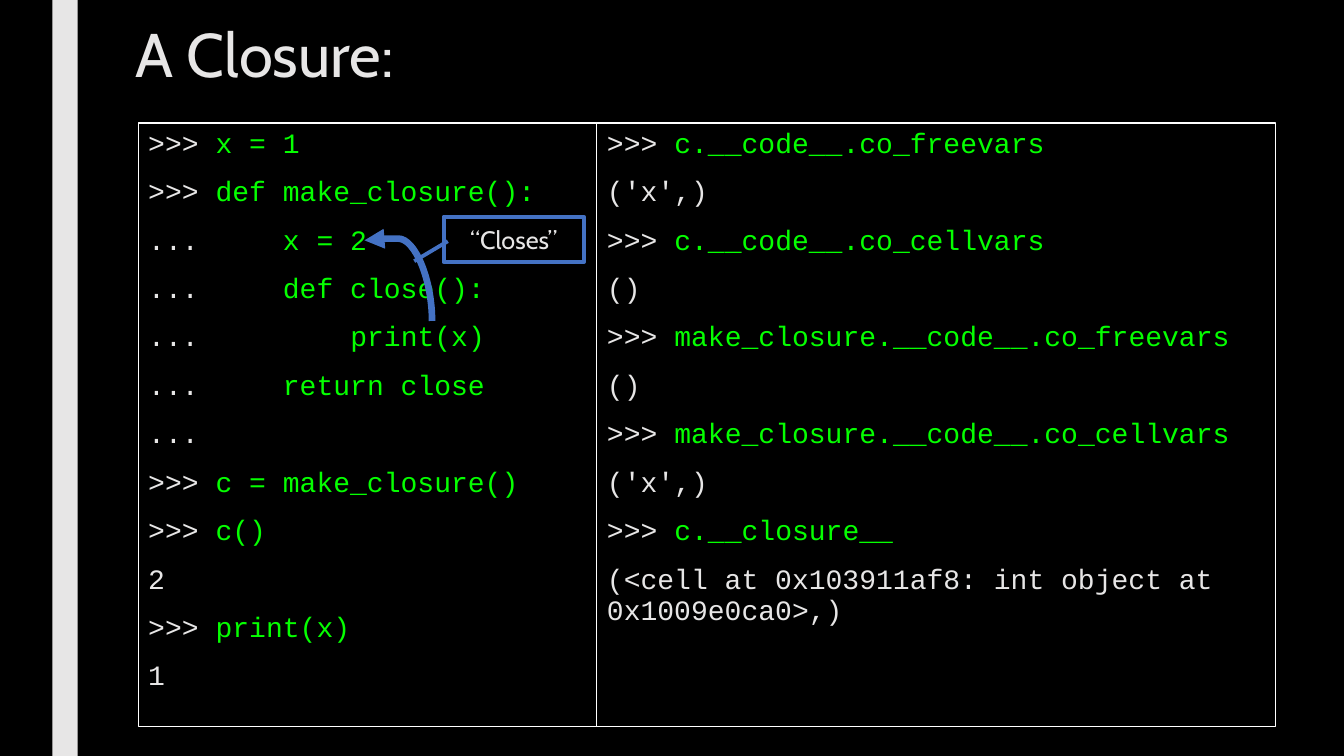
"""Build the slide that explains a Python closure."""
from dataclasses import dataclass

from lxml.etree import SubElement as Sub
from pptx import Presentation
from pptx.dml.color import RGBColor as Rgb
from pptx.enum.shapes import MSO_CONNECTOR as Link, MSO_SHAPE as Kind
from pptx.enum.text import MSO_ANCHOR as Anchor, MSO_AUTO_SIZE as Auto, PP_ALIGN as Align
from pptx.oxml.ns import qn
from pptx.util import Pt

SCALE = 9144


@dataclass(frozen=True)
class Theme:
    """Colours, fonts and type sizes."""
    back: Rgb = Rgb(0x00, 0x00, 0x00)
    pale: Rgb = Rgb(0xE7, 0xE6, 0xE6)
    code: Rgb = Rgb(0x05, 0xFF, 0x00)
    edge: Rgb = Rgb(0xFF, 0xFF, 0xFF)
    mark: Rgb = Rgb(0x44, 0x72, 0xC4)
    sans: str = "Cabin"
    mono: str = "Courier New"
    head: int = 44
    body: int = 20
    note: int = 18


@dataclass(frozen=True)
class Box:
    """A place on the slide in px."""
    left: int
    top: int
    width: int
    height: int


@dataclass(frozen=True)
class Line:
    """One console line: plain text, then typed code."""
    plain: str
    code: str = ""


@dataclass(frozen=True)
class Panel:
    """A framed console listing."""
    slot: int
    box: Box
    lines: tuple[Line, ...]


THEME = Theme()
PANELS = (
    Panel(1, Box(137, 122, 455, 599), (
        Line(">>> ", "x = 1"),
        Line(">>> ", "def make_closure():"),
        Line("...    ", " x = 2"),
        Line("...    ", " def close():"),
        Line("...         ", "print(x)"),
        Line("...    ", " return close"),
        Line("..."),
        Line(">>> ", "c = make_closure()"),
        Line(">>> ", "c()"),
        Line("2"),
        Line(">>> ", "print(x)"),
        Line("1"),
    )),
    Panel(2, Box(592, 122, 673, 599), (
        Line(">>> ", "c.__code__.co_freevars"),
        Line("('x',)"),
        Line(">>> ", "c.__code__.co_cellvars"),
        Line("()"),
        Line(">>> ", "make_closure.__code__.co_freevars"),
        Line("()"),
        Line(">>> ", "make_closure.__code__.co_cellvars"),
        Line("('x',)"),
        Line(">>> ", "c.__closure__"),
        Line("(<cell at 0x103911af8: int object at 0x1009e0ca0>,)"),
    )),
)


def px(size: int) -> int:
    """Turn px into EMU."""
    return size * SCALE


def place(shape, box: Box) -> None:
    """Move and size a shape."""
    shape.left, shape.top = px(box.left), px(box.top)
    shape.width, shape.height = px(box.width), px(box.height)


def style(font, name: str, size: int) -> None:
    """Set a pale font of the given name and size."""
    font.name, font.size = name, Pt(size)
    font.color.rgb = THEME.pale


def outline(line, color: Rgb, width: float) -> None:
    """Set the colour and width of a line."""
    line.color.rgb = color
    line.width = Pt(width)


def add_title(slide, box: Box, text: str) -> None:
    """Fill the title placeholder."""
    title = slide.shapes.title
    place(title, box)
    frame = title.text_frame
    frame.text = text
    frame.auto_size = Auto.NONE
    frame.vertical_anchor = Anchor.TOP
    para = frame.paragraphs[0]
    para.alignment = Align.LEFT
    para.line_spacing = 0.89
    style(para.font, THEME.sans, THEME.head)


def add_line(para, line: Line) -> None:
    """Write one console line without a bullet."""
    para.line_spacing = 0.94
    para.space_before, para.space_after = Pt(10), Pt(2)
    props = para._p.get_or_add_pPr()
    props.set("marL", "0")
    props.set("indent", "0")
    Sub(props, qn("a:buNone"))
    style(para.font, THEME.mono, THEME.body)
    para.add_run().text = line.plain
    if line.code:
        run = para.add_run()
        run.text = line.code
        run.font.color.rgb = THEME.code


def add_panel(slide, panel: Panel) -> None:
    """Fill a body placeholder with console lines."""
    shape = slide.placeholders[panel.slot]
    place(shape, panel.box)
    outline(shape.line, THEME.edge, 0.75)
    frame = shape.text_frame
    frame.auto_size = Auto.NONE
    frame.vertical_anchor = Anchor.TOP
    for row, line in enumerate(panel.lines):
        add_line(frame.add_paragraph() if row else frame.paragraphs[0], line)


def add_shape(slide, kind: Kind, box: Box):
    """Add a preset shape without a shadow."""
    shape = slide.shapes.add_shape(kind, 0, 0, 0, 0)
    place(shape, box)
    shape.shadow.inherit = False
    return shape


def add_bar(slide, box: Box) -> None:
    """Add the pale side bar."""
    bar = add_shape(slide, Kind.RECTANGLE, box)
    bar.fill.solid()
    bar.fill.fore_color.rgb = THEME.pale
    bar.line.fill.background()


def add_arrow(slide, box: Box) -> None:
    """Add the curved arrow, turned by three quarters."""
    arrow = slide.shapes.add_connector(
        Link.CURVE, px(box.left), px(box.top + box.height),
        px(box.left + box.width), px(box.top))
    outline(arrow.line, THEME.mark, 4.75)
    props = arrow.element.spPr
    props.find(qn("a:xfrm")).set("rot", str(270 * 60000))
    guides = props.find(qn("a:prstGeom")).find(qn("a:avLst"))
    Sub(guides, qn("a:gd"), name="adj1", fmla="val 102200")
    Sub(props.find(qn("a:ln")), qn("a:tailEnd"), type="triangle")
    Sub(props, qn("a:effectLst"))


def add_note(slide, box: Box, text: str) -> None:
    """Add the callout that names the arrow."""
    note = add_shape(slide, Kind.LINE_CALLOUT_1, box)
    for index, value in enumerate((0.54, 0.03, 0.98, -0.21)):
        note.adjustments[index] = value
    note.fill.background()
    outline(note.line, THEME.mark, 2.75)
    frame = note.text_frame
    frame.text = text
    frame.vertical_anchor = Anchor.MIDDLE
    para = frame.paragraphs[0]
    para.alignment = Align.CENTER
    style(para.font, THEME.sans, THEME.note)


def main() -> None:
    """Build and save the deck."""
    deck = Presentation()
    deck.slide_width, deck.slide_height = px(1333), px(750)
    slide = deck.slides.add_slide(deck.slide_layouts[3])
    slide.background.fill.solid()
    slide.background.fill.fore_color.rgb = THEME.back
    add_bar(slide, Box(52, 0, 25, 750))
    add_title(slide, Box(124, 20, 1050, 102), "A Closure:")
    for panel in PANELS:
        add_panel(slide, panel)
    add_arrow(slide, Box(355, 245, 80, 67))
    add_note(slide, Box(440, 215, 139, 45), "“Closes”")
    deck.save("out.pptx")


if __name__ == "__main__":
    main()
